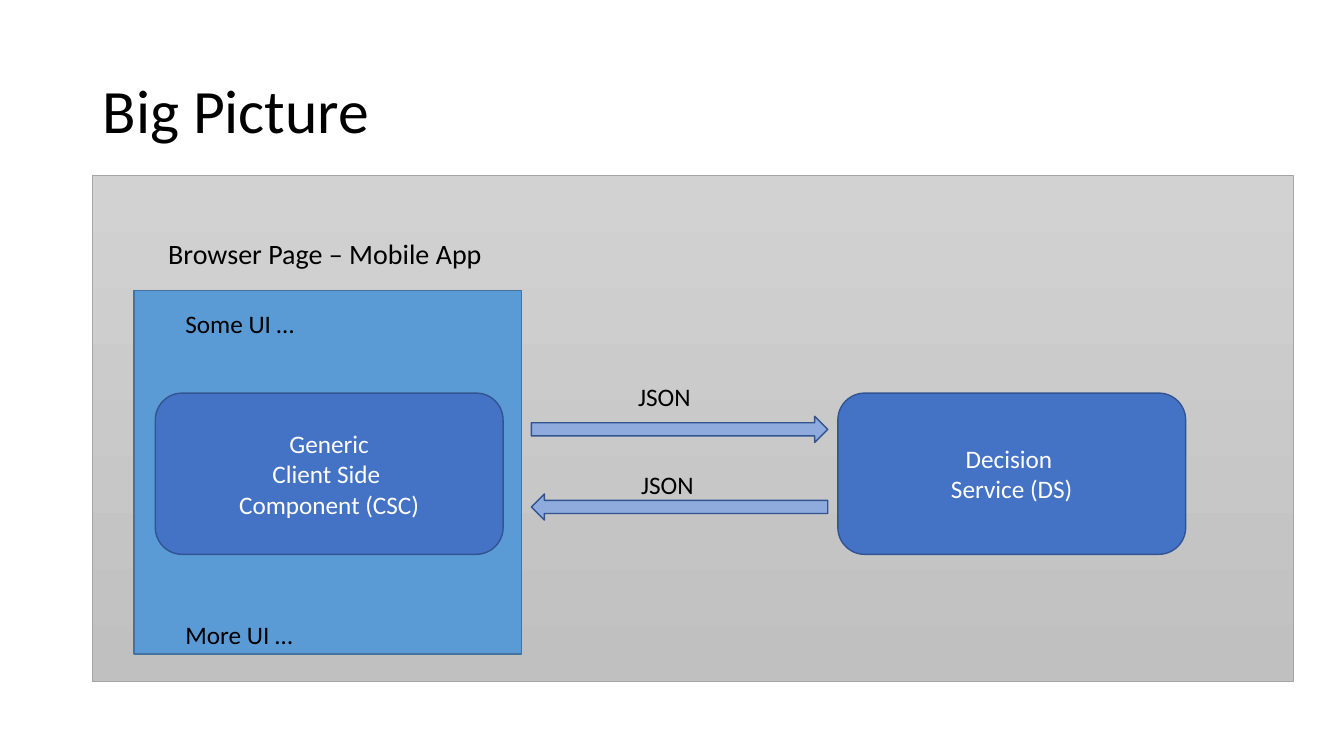
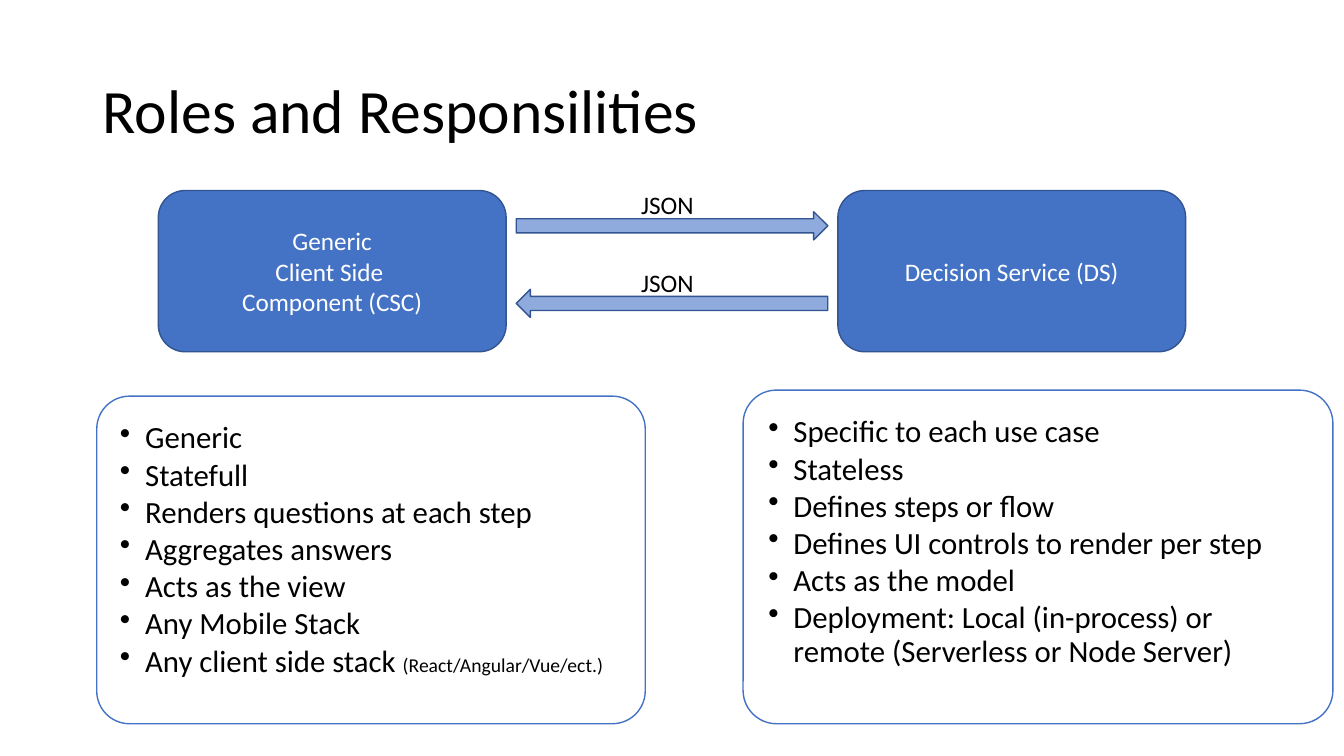
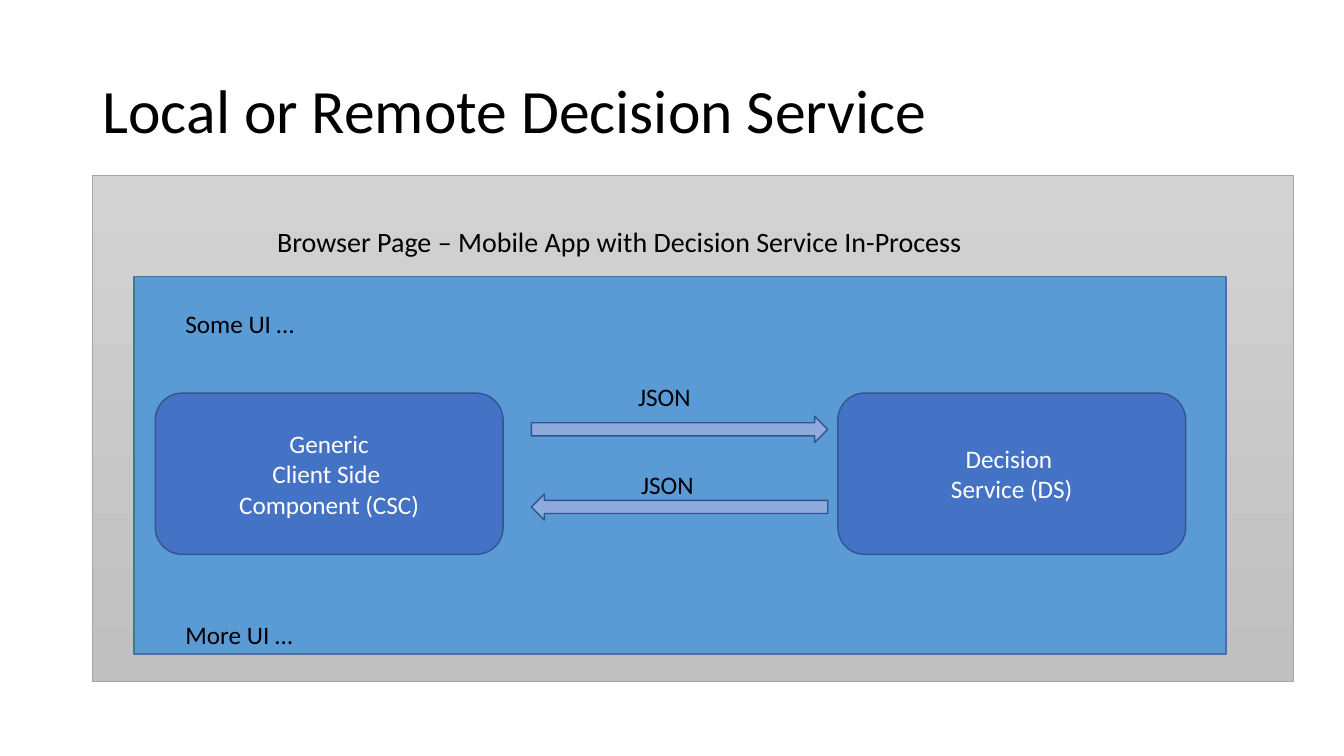
"""Build three slides on a client component and its decision service."""
from dataclasses import dataclass

from lxml import etree
from pptx import Presentation
from pptx.dml.color import RGBColor
from pptx.enum.shapes import MSO_SHAPE
from pptx.enum.text import MSO_ANCHOR, MSO_AUTO_SIZE, PP_ALIGN
from pptx.oxml.ns import qn
from pptx.util import Inches, Pt

RECT = MSO_SHAPE.RECTANGLE
ROUND = MSO_SHAPE.ROUNDED_RECTANGLE
LEFT = MSO_SHAPE.LEFT_ARROW
RIGHT = MSO_SHAPE.RIGHT_ARROW
MIDDLE = MSO_ANCHOR.MIDDLE
CENTER = PP_ALIGN.CENTER
GROW = MSO_AUTO_SIZE.SHAPE_TO_FIT_TEXT


@dataclass(frozen=True)
class Theme:
    font: str = "Calibri"
    black: str = "000000"
    white: str = "FFFFFF"
    blue: str = "4472C4"
    navy: str = "325491"
    pale: str = "8FAADC"
    sky: str = "5B9BD5"
    edge: str = "43739E"
    gray: str = "A5A5A5"
    top: str = "D2D2D2"
    base: str = "C0C0C0"
    title: int = 44
    list: int = 22
    head: int = 20
    body: int = 18
    small: int = 14


theme = Theme()


def draw(shapes, kind, box, fill, line, width=1):
    shape = shapes.add_shape(kind, *map(Inches, box))
    shape.shadow.inherit = False
    shape.fill.solid()
    shape.fill.fore_color.rgb = RGBColor.from_string(fill)
    shape.line.color.rgb = RGBColor.from_string(line)
    shape.line.width = Pt(width)
    return shape


def write(shape, text, size, color=theme.black, wrap=True):
    frame = shape.text_frame
    frame.text = text
    frame.word_wrap = wrap
    for para in frame.paragraphs:
        for run in para.runs:
            run.font.name = theme.font
            run.font.size = Pt(size)
            run.font.color.rgb = RGBColor.from_string(color)
    return frame


deck = Presentation()
deck.slide_width, deck.slide_height = Inches(13.33), Inches(7.5)

client = "Generic\nClient Side \nComponent (CSC)"
split = "Decision \nService (DS)"
pages = [
    dict(title="Big Picture", nodes=[(1.54, client), (8.31, split)], top=3.9,
         arrow=(5.27, 2.94, 0.26), rows=(4.13, 4.9),
         tags=[(6.23, 3.73), (6.26, 4.61)],
         page=(1.33, 2.88, 3.84, 3.61), spot=(1.57, 2.3, 3.45, 0.44),
         head="Browser Page – Mobile App"),
    dict(title="Roles and Responsilities",
         nodes=[(1.57, client), (8.31, "Decision Service (DS)")], top=1.89,
         arrow=(5.12, 3.09, 0.28), rows=(2.1, 2.87),
         tags=[(6.26, 1.83), (6.26, 2.6)]),
    dict(title="Local or Remote Decision Service",
         nodes=[(1.54, client), (8.31, split)], top=3.9,
         arrow=(5.27, 2.94, 0.26), rows=(4.13, 4.9),
         tags=[(6.23, 3.73), (6.26, 4.61)],
         page=(1.33, 2.74, 10.83, 3.75), spot=(2.65, 2.18, 8.62, 0.44),
         head="Browser Page – Mobile App with Decision Service In-Process"),
]
slides = []

for page in pages:
    slide = deck.slides.add_slide(deck.slide_layouts[6])
    slides.append(slide)
    shapes = slide.shapes
    labels = [(x, y, 0.73, "JSON") for x, y in page["tags"]]

    if "page" in page:
        panel = draw(shapes, RECT, (0.92, 1.74, 11.91, 5.02),
                     theme.base, theme.gray, 0.5)
        panel.fill.gradient()
        panel.fill.gradient_angle = 270
        for stop, color in zip(panel.fill.gradient_stops,
                               (theme.top, theme.base)):
            stop.color.rgb = RGBColor.from_string(color)
        draw(shapes, RECT, page["page"], theme.sky, theme.edge)
        head = shapes.add_textbox(*map(Inches, page["spot"]))
        write(head, page["head"], theme.head).auto_size = GROW
        labels += [(1.74, 6.09, 1.28, "More UI …"),
                   (1.74, 3.01, 1.31, "Some UI …")]

    title = shapes.add_textbox(*map(Inches, (0.92, 0.4, 11.5, 1.45)))
    frame = write(title, page["title"], theme.title)
    frame.vertical_anchor = MIDDLE
    frame.paragraphs[0].line_spacing = 0.9

    for x, text in page["nodes"]:
        node = draw(shapes, ROUND, (x, page["top"], 3.45, 1.6),
                    theme.blue, theme.navy)
        frame = write(node, text, theme.body, theme.white)
        frame.vertical_anchor = MIDDLE
        for para in frame.paragraphs:
            para.alignment = CENTER

    x, width, height = page["arrow"]
    for kind, y in zip((RIGHT, LEFT), page["rows"]):
        draw(shapes, kind, (x, y, width, height), theme.pale, theme.navy)

    for x, y, width, text in labels:
        label = shapes.add_textbox(*map(Inches, (x, y, width, 0.4)))
        write(label, text, theme.body, wrap=False).auto_size = GROW

cards = [
    ((0.96, 3.93, 5.44, 3.25), (1.02, 4.02, 5.31, 3.06),
     ["Generic", "Statefull", "Renders questions at each step",
      "Aggregates answers", "Acts as the view", "Any Mobile Stack",
      "Any client side stack "], "(React/Angular/Vue/ect.)"),
    ((7.37, 3.87, 5.85, 3.31), (7.45, 3.96, 5.7, 3.11),
     ["Specific to each use case", "Stateless", "Defines steps or flow",
      "Defines UI controls to render per step", "Acts as the model",
      "Deployment: Local (in-process) or "
      "remote (Serverless or Node Server)"], ""),
]
for box, area, items, note in cards:
    group = slides[1].shapes.add_group_shape().shapes
    card = draw(group, ROUND, box, theme.white, theme.blue)
    card.adjustments[0] = 0.1
    tint = card.fill._xPr.find(".//" + qn("a:srgbClr"))
    etree.SubElement(tint, qn("a:alpha"), val="90000")

    area = group.add_textbox(*map(Inches, area))
    frame = write(area, "\n".join(items), theme.list)
    frame.margin_left = frame.margin_right = Inches(0.17)
    frame.margin_top = frame.margin_bottom = Inches(0.17)
    for para in frame.paragraphs:
        para.line_spacing = 0.9
        para.space_after = Pt(2.8)
        props = para._p.get_or_add_pPr()
        props.set("marL", str(Inches(0.25)))
        props.set("indent", str(Inches(-0.25)))
        etree.SubElement(props, qn("a:buChar"), char="•")
    if note:
        run = frame.paragraphs[-1].add_run()
        run.text = note
        run.font.name = theme.font
        run.font.size = Pt(theme.small)
        run.font.color.rgb = RGBColor.from_string(theme.black)

deck.save("out.pptx")
